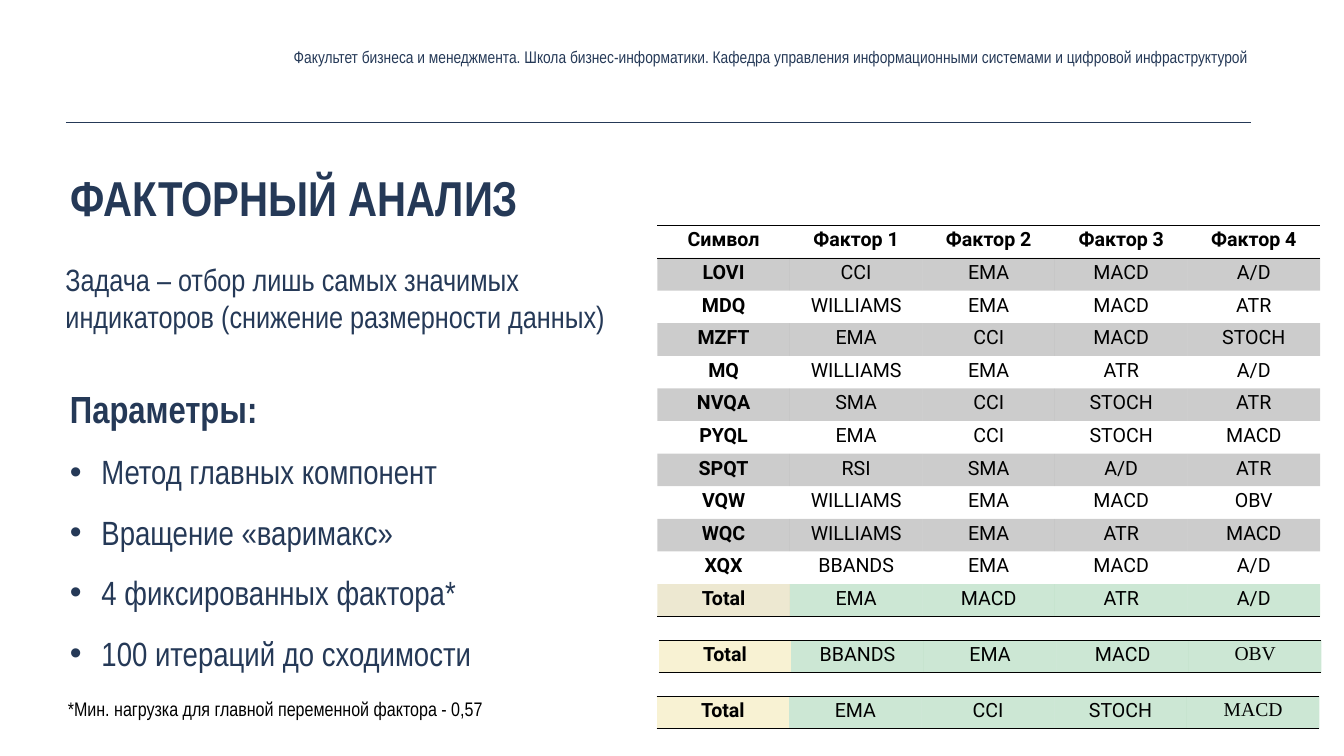
from lxml import etree
from pptx import Presentation
from pptx import util as u
from pptx.dml import color as c
from pptx.enum import shapes, text as t
from pptx.oxml import ns

COLORS = {
    "navy": "253957",
    "black": "000000",
    "gold": "A58E1A",
    "cream": "F8F2D3",
    "green": "00882B",
}
NARROW, TABLE, SERIF = "Arial Narrow", "Roboto", "Times New Roman"
PLAIN = "{2D5ABB26-0587-4C30-8999-92F81FD0307C}"
COL, ROW = 189.36, 46.6

FACTORS = [
    "Символ|Фактор 1|Фактор 2|Фактор 3|Фактор 4",
    "LOVI|CCI|EMA|MACD|A/D",
    "MDQ|WILLIAMS|EMA|MACD|ATR",
    "MZFT|EMA|CCI|MACD|STOCH",
    "MQ|WILLIAMS|EMA|ATR|A/D",
    "NVQA|SMA|CCI|STOCH|ATR",
    "PYQL|EMA|CCI|STOCH|MACD",
    "SPQT|RSI|SMA|A/D|ATR",
    "VQW|WILLIAMS|EMA|MACD|OBV",
    "WQC|WILLIAMS|EMA|ATR|MACD",
    "XQX|BBANDS|EMA|MACD|A/D",
    "Total|EMA|MACD|ATR|A/D",
]
TOTALS = [
    (941, 914.4, "Total|BBANDS|EMA|MACD|OBV"),
    (938, 994.3, "Total|EMA|CCI|STOCH|MACD"),
]
PARAMS = [
    "Метод главных компонент",
    "Вращение «варимакс»",
    "4 фиксированных фактора*",
    "100 итераций до сходимости",
]


def rgb(name):
    return c.RGBColor.from_string(COLORS[name])


def write(frame, text, size=48, font=NARROW, color="navy", bold=False,
          align=t.PP_ALIGN.LEFT, space=None, bullet=False):
    para = frame.paragraphs[0]
    if para.runs:
        para = frame.add_paragraph()
    para.alignment = align
    if space:
        para.line_spacing = space
    if bullet:
        props = para._p.get_or_add_pPr()
        props.set("marL", str(u.Pt(45)))
        props.set("indent", str(-u.Pt(45)))
        etree.SubElement(props, ns.qn("a:buFont")).set("typeface", "Arial")
        etree.SubElement(props, ns.qn("a:buChar")).set("char", "•")
    run = para.add_run()
    run.text = text
    run.font.size = u.Pt(size)
    run.font.name = font
    run.font.bold = bold
    run.font.color.rgb = rgb(color)


def add_box(slide, left, top, width, height, side=5.6, edge=5.6,
            anchor=t.MSO_ANCHOR.TOP):
    box = slide.shapes.add_textbox(*map(u.Pt, (left, top, width, height)))
    frame = box.text_frame
    frame.word_wrap = True
    frame.vertical_anchor = anchor
    frame.margin_left = frame.margin_right = u.Pt(side)
    frame.margin_top = frame.margin_bottom = u.Pt(edge)
    return frame


def add_rule(slide, left, right, top):
    rule = slide.shapes.add_connector(
        shapes.MSO_CONNECTOR.STRAIGHT, *map(u.Pt, (left, top, right, top)))
    rule.line.color.rgb = rgb("navy")
    rule.line.width = u.Pt(1)
    etree.SubElement(rule._element.spPr, ns.qn("a:effectLst"))


def paint(cell, color, clear):
    if not color:
        cell.fill.background()
        return
    cell.fill.solid()
    cell.fill.fore_color.rgb = rgb(color)
    if clear:
        shade = cell._tc.tcPr.find(".//" + ns.qn("a:srgbClr"))
        etree.SubElement(shade, ns.qn("a:alpha")).set("val", "20000")


def edge(cell, side):
    line = etree.Element(ns.qn("a:" + side), w=str(u.Pt(1)))
    fill = etree.SubElement(line, ns.qn("a:solidFill"))
    etree.SubElement(fill, ns.qn("a:srgbClr")).set("val", COLORS["black"])
    cell._tc.get_or_add_tcPr().insert(0, line)


def add_grid(slide, left, top, lines, label, last=TABLE):
    rows = [line.split("|") for line in lines]
    size = len(rows[0]) * COL, len(rows) * ROW
    grid = slide.shapes.add_table(
        len(rows), len(rows[0]), *map(u.Pt, (left, top, *size))).table
    grid.first_row = grid.horz_banding = False
    grid._tbl.tblPr.find(ns.qn("a:tableStyleId")).text = PLAIN
    for col in grid.columns:
        col.width = u.Pt(COL)
    end = len(rows) - 1
    for i, words in enumerate(rows):
        grid.rows[i].height = u.Pt(ROW)
        for j, word in enumerate(words):
            cell = grid.cell(i, j)
            cell.margin_left = cell.margin_right = u.Pt(5)
            cell.margin_top = cell.margin_bottom = 0
            write(cell.text_frame, word, size=28, color="black",
                  font=last if j == len(words) - 1 else TABLE,
                  bold=j == 0 or words[0] == "Символ",
                  align=t.PP_ALIGN.CENTER, space=1.15)
            if i == end:
                color = "green" if j else label
            else:
                color = "black" if i % 2 else None
            paint(cell, color, clear=color != "cream")
            if i in (0, end):
                edge(cell, "lnB")
            if i == 0:
                edge(cell, "lnT")


def main():
    deck = Presentation()
    deck.slide_width, deck.slide_height = u.Pt(1920), u.Pt(1080)
    slide = deck.slides.add_slide(deck.slide_layouts[6])

    add_rule(slide, 94.3, 1787.8, 174.2)
    title = add_box(slide, 95, 234, 1265.8, 182)
    write(title, "ФАКТОРНЫЙ АНАЛИЗ", size=70, bold=True)

    params = add_box(slide, 94.3, 517, 1265.8, 450,
                     anchor=t.MSO_ANCHOR.BOTTOM)
    write(params, "Параметры:", size=54, bold=True, space=1.5)
    for item in PARAMS:
        write(params, item, space=1.5, bullet=True)

    head = add_box(slide, 239.8, 60, 1548, 43, anchor=t.MSO_ANCHOR.MIDDLE)
    write(head, "Факультет бизнеса и менеджмента. Школа бизнес-информатики. "
          "Кафедра управления информационными системами и цифровой "
          "инфраструктурой", size=24, align=t.PP_ALIGN.RIGHT)

    add_grid(slide, 939, 322, FACTORS, "gold")
    for left, top, line in TOTALS:
        add_grid(slide, left, top, [line], "cream", last=SERIF)

    note = add_box(slide, 0, 991.4, 786, 41, side=7.2, edge=3.6)
    write(note, "*Мин. нагрузка для главной переменной фактора - 0,57",
          size=28, color="black", align=t.PP_ALIGN.CENTER)

    task = add_box(slide, 86.4, 369.4, 960, 113.8, side=7.2, edge=3.6)
    write(task, "Задача – отбор лишь самых значимых", size=44)
    write(task, "индикаторов (снижение размерности данных)", size=44)

    deck.save("out.pptx")


if __name__ == "__main__":
    main()
